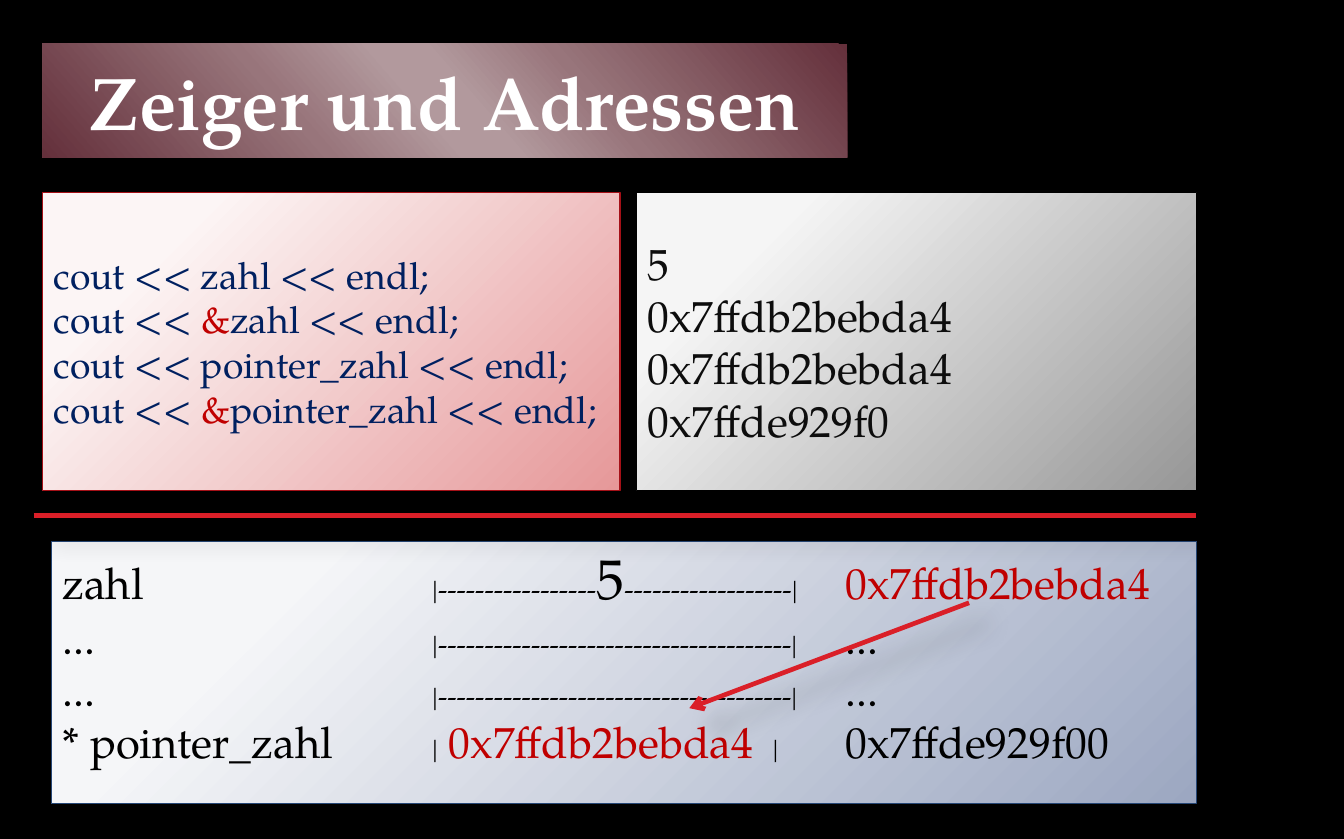
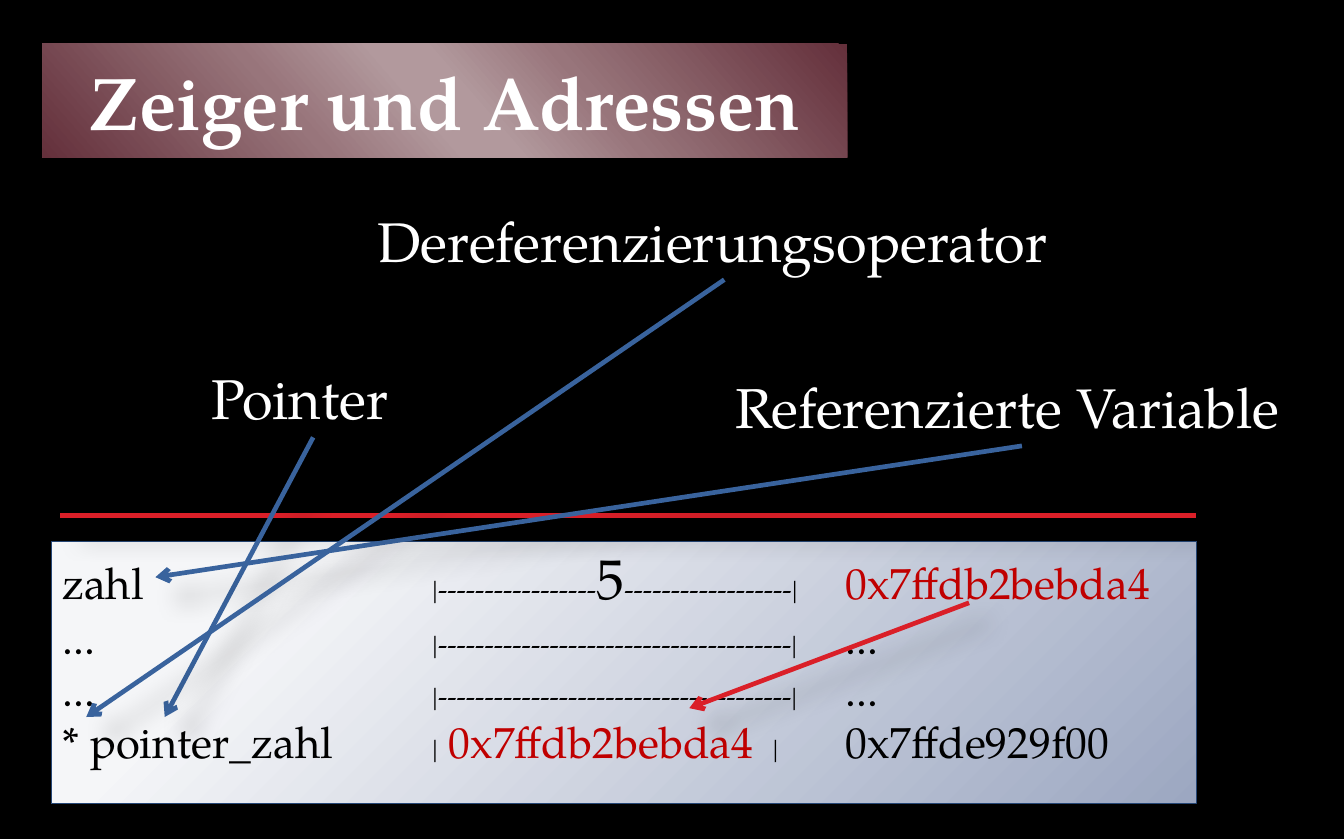
"""Build two slides on pointers and addresses."""
import pptx
import pptx.dml.color
import pptx.enum.shapes
import pptx.enum.text
import pptx.oxml
import pptx.oxml.ns
import pptx.util

Pt = pptx.util.Pt
RGB = pptx.dml.color.RGBColor
ALIGN = pptx.enum.text.PP_ALIGN
FONT = "TeX Gyre Pagella"
BLACK = RGB(0x00, 0x00, 0x00)
DARK = RGB(0x0D, 0x0D, 0x0D)
WHITE = RGB(0xFF, 0xFF, 0xFF)
NAVY = RGB(0x00, 0x20, 0x60)
RED = RGB(0xC0, 0x00, 0x00)
SCARLET = RGB(0xDA, 0x1F, 0x28)
BLUE = RGB(0x39, 0x63, 0x9D)
PALE = RGB(0xF5, 0xF6, 0xF8)
STEEL = RGB(0x9C, 0xA7, 0xC1)
EDGE = RGB(0x26, 0x47, 0x76)
BLUSH = RGB(0xFC, 0xF5, 0xF5)
ROSE = RGB(0xE6, 0x98, 0x99)
RUBY = RGB(0xA5, 0x10, 0x17)
MIST = RGB(0xF5, 0xF5, 0xF5)
GREY = RGB(0x97, 0x97, 0x97)
WINE = RGB(0x64, 0x30, 0x3B)
MAUVE = RGB(0x98, 0x75, 0x7B)
SHINE = RGB(0xB2, 0x99, 0x9D)

TITLE = "Zeiger und Adressen"
BAND = [(0, WINE), (33, MAUVE), (47, SHINE), (53, SHINE), (68, MAUVE), (100, WINE)]
CODE = [
    ["cout << zahl << endl;"],
    ["cout << ", ("&", {"color": RED}), "zahl << endl;"],
    ["cout << pointer_zahl << endl;"],
    ["cout << ", ("&", {"color": RED}), "pointer_zahl << endl;"],
]
OUTPUT = [["5"], ["0x7ffdb2bebda4"], ["0x7ffdb2bebda4"], ["0x7ffde929f0"]]
SMALL = {"size": 18}
BLANK = ["...\t", ("|" + "-" * 38 + "|", SMALL), "\t..."]
MEMORY = [
    ["zahl\t", ("|" + "-" * 17, SMALL), ("5", {"size": 36}),
     ("-" * 18 + "|", SMALL), "\t", ("0x7ffdb2bebda4", {"color": RED})],
    BLANK,
    BLANK,
    ["* pointer_zahl\t", ("|", SMALL), (" 0x7ffdb2bebda4", {"color": RED}),
     "\t", ("|", SMALL), "\t0x7ffde929f00"],
]
STOPS = (238, 457, 504)
LABELS = [
    ("Pointer", (129, 230.5, 146, 51), (201.5, 281.5), (106, 461.5)),
    ("Referenzierte Variable", (466, 236, 382, 51), (657.5, 287), (100, 371.5)),
    ("Dereferenzierungsoperator", (235.5, 129.5, 461.5, 51), (466, 180), (55.5, 461.5)),
]
RIGHT = 769.7
PANEL = (33, 348.5, RIGHT - 33, 168.5)
SOFT = (35, 10.2, 8)
FAR = (26, 15, 18)


def parsed(text):
    """Return a drawing element made from text."""
    head, rest = text.split(" ", 1) if " " in text else (text[:-2], "/>")
    return pptx.oxml.parse_xml(f"{head} {pptx.oxml.ns.nsdecls('a')} {rest}")


def shade(shape, look):
    """Give a shape a black shadow to the lower right."""
    alpha, blur, far = look
    shape._element.spPr.append(parsed(
        f'<a:effectLst ><a:outerShdw blurRad="{Pt(blur)}" dist="{Pt(far)}" '
        f'dir="2700000" algn="tl" rotWithShape="0"><a:srgbClr val="{BLACK}">'
        f'<a:alpha val="{alpha * 1000}"/></a:srgbClr></a:outerShdw></a:effectLst>'))


def blend(shape, stops, shift):
    """Fill a shape with a gradient."""
    marks = "".join(f'<a:gs pos="{at * 1000}"><a:srgbClr val="{hue}"/></a:gs>'
                    for at, hue in stops)
    shape._element.spPr.insert(2, parsed(
        f'<a:gradFill rotWithShape="1"><a:gsLst>{marks}</a:gsLst>{shift}</a:gradFill>'))


def write(frame, lines, size=28, color=BLACK, bold=False, align=ALIGN.LEFT, tabs=()):
    """Write lines of runs, each run a text or a text with its own format."""
    frame.word_wrap = True
    for num, line in enumerate(lines):
        para = frame.add_paragraph() if num else frame.paragraphs[0]
        para.alignment = align
        if tabs:
            marks = "".join(f'<a:tab pos="{Pt(stop)}" algn="l"/>' for stop in tabs)
            para._p.get_or_add_pPr().append(parsed(f"<a:tabLst >{marks}</a:tabLst>"))
        for part in line:
            text, look = (part, {}) if isinstance(part, str) else part
            run = para.add_run()
            run.text = text
            run.font.name = FONT
            run.font.bold = bold
            run.font.size = Pt(look.get("size", size))
            run.font.color.rgb = look.get("color", color)


def box(slide, place, light, deep, edge, lines, **look):
    """Add a shaded text panel."""
    shape = slide.shapes.add_shape(
        pptx.enum.shapes.MSO_SHAPE.RECTANGLE, *map(Pt, place))
    shape.line.color.rgb = edge
    shape.line.width = Pt(0.75)
    blend(shape, [(20, light), (100, deep)],
          '<a:path path="circle"><a:fillToRect l="-15000" t="-15000" '
          'r="115000" b="115000"/></a:path>')
    shade(shape, SOFT)
    shape.text_frame.vertical_anchor = pptx.enum.text.MSO_ANCHOR.MIDDLE
    write(shape.text_frame, lines, **look)
    return shape


def draw(slide, start, end, color=SCARLET, arrow=True):
    """Add a line or an arrow."""
    line = slide.shapes.add_connector(
        pptx.enum.shapes.MSO_CONNECTOR.STRAIGHT, *map(Pt, start + end))
    line.line.color.rgb = color
    line.line.width = Pt(3)
    if arrow:
        line.line._get_or_add_ln().append(parsed('<a:tailEnd type="arrow"/>'))
    shade(line, FAR)


def start(deck, left):
    """Add a slide with title, rule and memory panel."""
    slide = deck.slides.add_slide(deck.slide_layouts[5])
    title = slide.shapes.title
    title.left, title.top, title.width, title.height = map(Pt, (27.4, 28, 517.7, 73.4))
    title._element.spPr.append(parsed('<a:prstGeom prst="roundRect"><a:avLst/></a:prstGeom>'))
    blend(title, BAND, f'<a:lin ang="{139 * 60000}" scaled="0"/>')
    shade(title, FAR)
    title.text_frame.auto_size = pptx.enum.text.MSO_AUTO_SIZE.NONE
    title.text_frame.vertical_anchor = pptx.enum.text.MSO_ANCHOR.MIDDLE
    write(title.text_frame, [[TITLE]], size=48, color=WHITE, bold=True, align=ALIGN.CENTER)
    panel = box(slide, PANEL, PALE, STEEL, EDGE, MEMORY, tabs=STOPS)
    panel.text_frame.margin_bottom = Pt(25)
    draw(slide, (left, 332), (RIGHT, 332), arrow=False)
    draw(slide, (623.5, 388), (443.5, 455.8))
    return slide


def main():
    """Build and save the deck."""
    deck = pptx.Presentation()
    deck.slide_width, deck.slide_height = Pt(864.7), Pt(540)
    ground = deck.slide_master.background.fill
    ground.solid()
    ground.fore_color.rgb = BLACK

    slide = start(deck, 21.6)
    box(slide, (27.4, 124, 371.5, 191.5), BLUSH, ROSE, RUBY, CODE, size=24, color=NAVY)
    box(slide, (409.7, 124, 360, 191.5), MIST, GREY, BLACK, OUTPUT, color=DARK)

    slide = start(deck, 38.9)
    for text, place, tail, tip in LABELS:
        label = slide.shapes.add_textbox(*map(Pt, place))
        write(label.text_frame, [[text]], size=36, color=WHITE)
        draw(slide, tail, tip, color=BLUE)
    deck.save("out.pptx")


if __name__ == "__main__":
    main()
